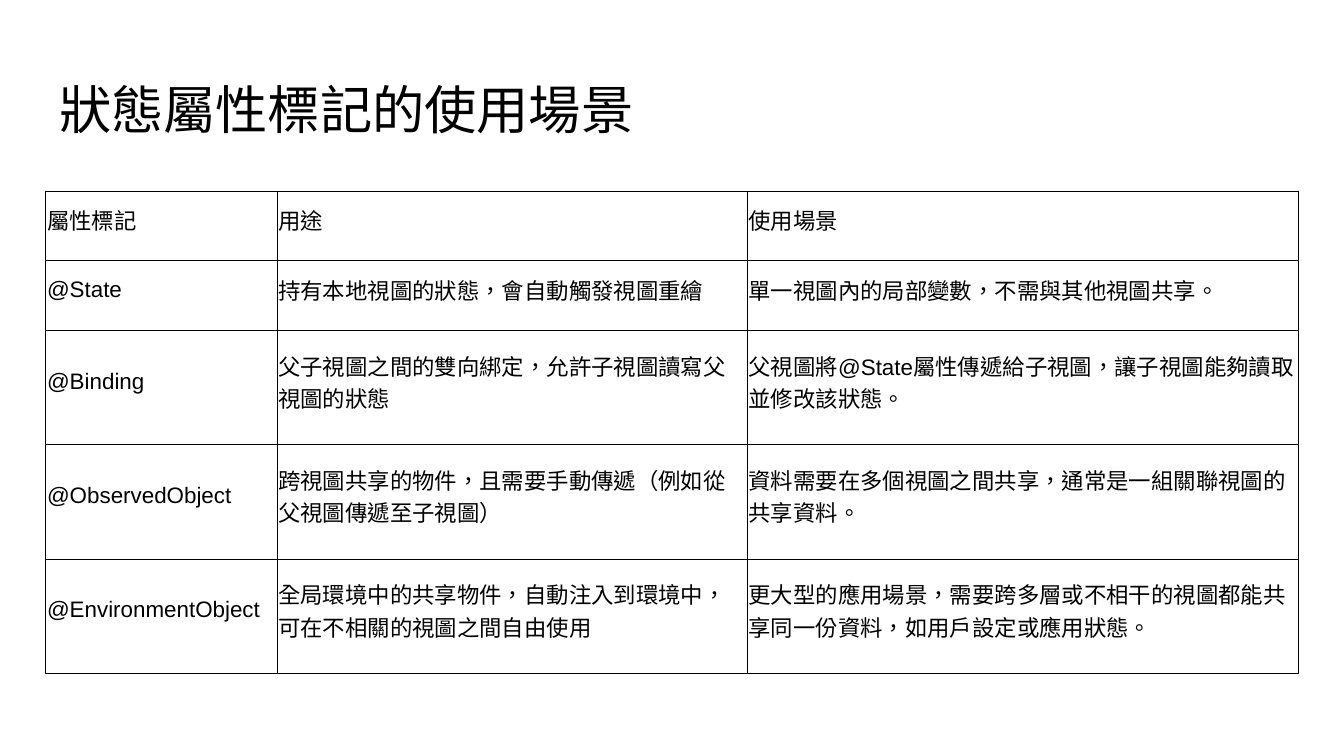
from typing import NamedTuple

from lxml.etree import SubElement
from pptx import Presentation
from pptx.dml.color import RGBColor
from pptx.enum.lang import MSO_LANGUAGE_ID as Language
from pptx.enum.text import MSO_ANCHOR as Anchor, MSO_AUTO_SIZE as AutoSize, PP_ALIGN as Align
from pptx.oxml.ns import qn
from pptx.util import Inches, Pt

SLIDE_WIDTH = 10
SLIDE_HEIGHT = SLIDE_WIDTH * 9 / 16
MARGIN = 0.34
TITLE_TOP, TITLE_HEIGHT = 0.49, 0.63
TABLE_TOP = 1.42
COLUMN_WIDTHS = (1.72, 3.5, 4.1)
SHORT_ROW, TALL_ROW = 0.52, 0.85
FONT = "Arial"
BLACK = "000000"
BORDER_WIDTH = Pt(0.38)


class Usage(NamedTuple):
    marker: str
    purpose: str
    scenario: str
    height: float = TALL_ROW


USAGES = (
    Usage("屬性標記", "用途", "使用場景", SHORT_ROW),
    Usage("@State", "持有本地視圖的狀態，會自動觸發視圖重繪",
          "單一視圖內的局部變數，不需與其他視圖共享。", SHORT_ROW),
    Usage("@Binding", "父子視圖之間的雙向綁定，允許子視圖讀寫父視圖的狀態",
          "父視圖將@State屬性傳遞給子視圖，讓子視圖能夠讀取並修改該狀態。"),
    Usage("@ObservedObject", "跨視圖共享的物件，且需要手動傳遞（例如從父視圖傳遞至子視圖）",
          "資料需要在多個視圖之間共享，通常是一組關聯視圖的共享資料。"),
    Usage("@EnvironmentObject", "全局環境中的共享物件，自動注入到環境中，可在不相關的視圖之間自由使用",
          "更大型的應用場景，需要跨多層或不相干的視圖都能共享同一份資料，如用戶設定或應用狀態。"),
)


def color(value: str) -> RGBColor:
    return RGBColor.from_string(value)


def format_paragraph(paragraph, size: float) -> None:
    paragraph.alignment = Align.LEFT
    paragraph.font.name = FONT
    paragraph.font.size = Pt(size)
    paragraph.font.color.rgb = color(BLACK)
    for run in paragraph.runs:
        run.font.language_id = Language.TRADITIONAL_CHINESE


def add_title(slide, text: str) -> None:
    title = slide.shapes.title
    title.left, title.top = Inches(MARGIN), Inches(TITLE_TOP)
    title.width, title.height = Inches(SLIDE_WIDTH - 2 * MARGIN), Inches(TITLE_HEIGHT)
    frame = title.text_frame
    frame.text = text
    frame.word_wrap = True
    frame.auto_size = AutoSize.NONE
    frame.vertical_anchor = Anchor.MIDDLE
    frame.margin_left = frame.margin_right = Inches(0.1)
    frame.margin_top = frame.margin_bottom = Inches(0.1)
    format_paragraph(frame.paragraphs[0], 28)


def add_borders(cell) -> None:
    properties = cell._tc.get_or_add_tcPr()
    for side in ("a:lnL", "a:lnR", "a:lnT", "a:lnB"):
        line = SubElement(properties, qn(side), w=str(BORDER_WIDTH))
        fill = SubElement(line, qn("a:solidFill"))
        SubElement(fill, qn("a:srgbClr"), val=BLACK)


def fill_cell(cell, text: str) -> None:
    cell.text = text
    cell.vertical_anchor = Anchor.MIDDLE
    cell.margin_left = cell.margin_right = cell.margin_top = Inches(0.01)
    cell.margin_bottom = Inches(0.1)
    format_paragraph(cell.text_frame.paragraphs[0], 12)
    add_borders(cell)
    cell.fill.background()


def add_usage_table(slide, usages: tuple[Usage, ...]) -> None:
    table = slide.shapes.add_table(
        len(usages), len(COLUMN_WIDTHS), Inches(MARGIN), Inches(TABLE_TOP),
        Inches(sum(COLUMN_WIDTHS)), Inches(sum(usage.height for usage in usages)),
    ).table
    table.first_row = table.horz_banding = False
    for column, width in zip(table.columns, COLUMN_WIDTHS):
        column.width = Inches(width)
    for row, usage in zip(table.rows, usages):
        row.height = Inches(usage.height)
        for cell, text in zip(row.cells, usage[:3]):
            fill_cell(cell, text)


def main() -> None:
    presentation = Presentation()
    presentation.slide_width = Inches(SLIDE_WIDTH)
    presentation.slide_height = Inches(SLIDE_HEIGHT)
    slide = presentation.slides.add_slide(presentation.slide_layouts.get_by_name("Title Only"))
    add_title(slide, "狀態屬性標記的使用場景")
    add_usage_table(slide, USAGES)
    presentation.save("out.pptx")


if __name__ == "__main__":
    main()
